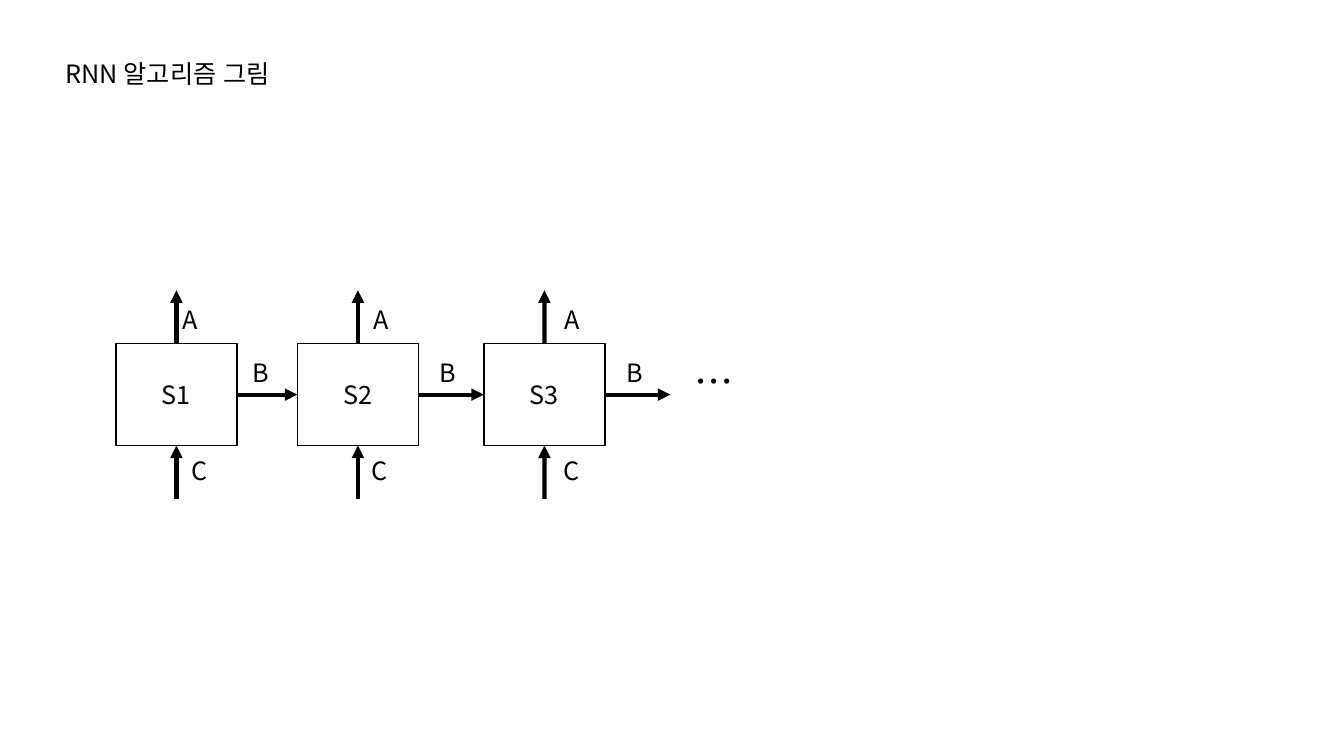
import dataclasses

import lxml.etree
import pptx
import pptx.dml.color
import pptx.enum.lang
import pptx.enum.shapes
import pptx.enum.text
import pptx.oxml.ns
import pptx.util

Inches = pptx.util.Inches
Pt = pptx.util.Pt


@dataclasses.dataclass(frozen=True)
class Theme:
    """Colours, typeface and sizes of the slide."""
    ink: pptx.dml.color.RGBColor = pptx.dml.color.RGBColor(0, 0, 0)
    paper: pptx.dml.color.RGBColor = pptx.dml.color.RGBColor(255, 255, 255)
    typeface: str = "Noto Sans CJK KR"
    text_size: int = 18
    dots_size: int = 28
    outline: int = 1
    arrow: int = 3


THEME = Theme()
TOP, BOTTOM, LEFT, RIGHT = 0, 2, 1, 3
CELL_WIDTH, CELL_HEIGHT, ARROW_LENGTH = 1.2, 1.01, 0.53
CELL_TOP = 3.41
CELLS = [
    ("S1", 1.15, 0.56, 0.65, 0.06),
    ("S2", 2.95, 0.66, 0.64, 0.11),
    ("S3", 4.8, 0.7, 0.69, 0.12),
]


def add_child(parent, tag, **attributes):
    """Append a DrawingML element to a parent element."""
    return lxml.etree.SubElement(parent, pptx.oxml.ns.qn(tag), **attributes)


def write(frame, text, size=THEME.text_size, align=pptx.enum.text.PP_ALIGN.LEFT):
    """Put one formatted paragraph into a text frame."""
    frame.text = text
    para = frame.paragraphs[0]
    para.alignment = align
    for span in para.runs:
        span.font.size = Pt(size)
        span.font.name = THEME.typeface
        span.font.color.rgb = THEME.ink
        span.font.language_id = pptx.enum.lang.MSO_LANGUAGE_ID.KOREAN
        add_child(span.font._element, "a:ea", typeface=THEME.typeface)


def add_label(page, text, left, top, width=0.41, height=0.4, size=THEME.text_size):
    """Add a text box and return it."""
    box = page.shapes.add_textbox(Inches(left), Inches(top), Inches(width), Inches(height))
    box.text_frame.word_wrap = True
    write(box.text_frame, text, size)
    return box


def add_arrow(page, start, end):
    """Add a straight arrow between two points and return it."""
    arrow = page.shapes.add_connector(
        pptx.enum.shapes.MSO_CONNECTOR.STRAIGHT, *map(Inches, start + end))
    arrow.line.color.rgb = THEME.ink
    arrow.line.width = Pt(THEME.arrow)
    add_child(arrow.line._get_or_add_ln(), "a:tailEnd", type="triangle")
    add_child(arrow._element.spPr, "a:effectLst")
    return arrow


def add_title(page, left, top, width, height):
    """Move and format the title placeholder."""
    title = page.shapes.title
    title.left, title.top, title.width, title.height = map(Inches, (left, top, width, height))
    write(title.text_frame, "RNN 알고리즘 그림")
    title.text_frame.vertical_anchor = pptx.enum.text.MSO_ANCHOR.TOP
    title.text_frame.auto_size = pptx.enum.text.MSO_AUTO_SIZE.NONE


def add_cell(page, name, left, top, output_offset, input_offset):
    """Draw one state box with its output and input arrows and labels."""
    cell = page.shapes.add_shape(
        pptx.enum.shapes.MSO_SHAPE.RECTANGLE,
        Inches(left), Inches(top), Inches(CELL_WIDTH), Inches(CELL_HEIGHT))
    cell.shadow.inherit = False
    cell.fill.solid()
    cell.fill.fore_color.rgb = THEME.paper
    cell.line.color.rgb = THEME.ink
    cell.line.width = Pt(THEME.outline)
    cell.text_frame.vertical_anchor = pptx.enum.text.MSO_ANCHOR.MIDDLE
    write(cell.text_frame, name, align=pptx.enum.text.PP_ALIGN.CENTER)

    center, bottom = left + CELL_WIDTH / 2, top + CELL_HEIGHT
    incoming = add_arrow(page, (center, bottom + ARROW_LENGTH), (center, bottom))
    incoming.end_connect(cell, BOTTOM)
    outgoing = add_arrow(page, (center, top), (center, top - ARROW_LENGTH))
    outgoing.begin_connect(cell, TOP)
    add_label(page, "A", left + output_offset, top - 0.44)
    add_label(page, "C", left + input_offset, bottom + 0.05)
    return cell


def add_chain(page, top):
    """Draw the row of state boxes and the arrows that link them."""
    boxes = [add_cell(page, name, left, top, output_offset, input_offset)
             for name, left, output_offset, input_offset, _ in CELLS]
    middle = top + CELL_HEIGHT / 2
    for index, (_, left, _, _, label_offset) in enumerate(CELLS):
        right = left + CELL_WIDTH
        link = add_arrow(page, (right, middle), (right + 0.65, middle))
        link.begin_connect(boxes[index], RIGHT)
        if index + 1 < len(boxes):
            link.end_connect(boxes[index + 1], LEFT)
        add_label(page, "B", right + label_offset, top + 0.09)
    add_label(page, "…", 6.79, top + 0.09, 3.07, 0.57, THEME.dots_size)


def main():
    """Build the slide and save it."""
    deck = pptx.Presentation()
    deck.slide_width, deck.slide_height = Inches(13.33), Inches(7.5)
    page = deck.slides.add_slide(deck.slide_layouts.get_by_name("Title Only"))
    add_title(page, 0.55, 0.53, 3.61, 0.4)
    add_chain(page, CELL_TOP)
    deck.save("out.pptx")


if __name__ == "__main__":
    main()
